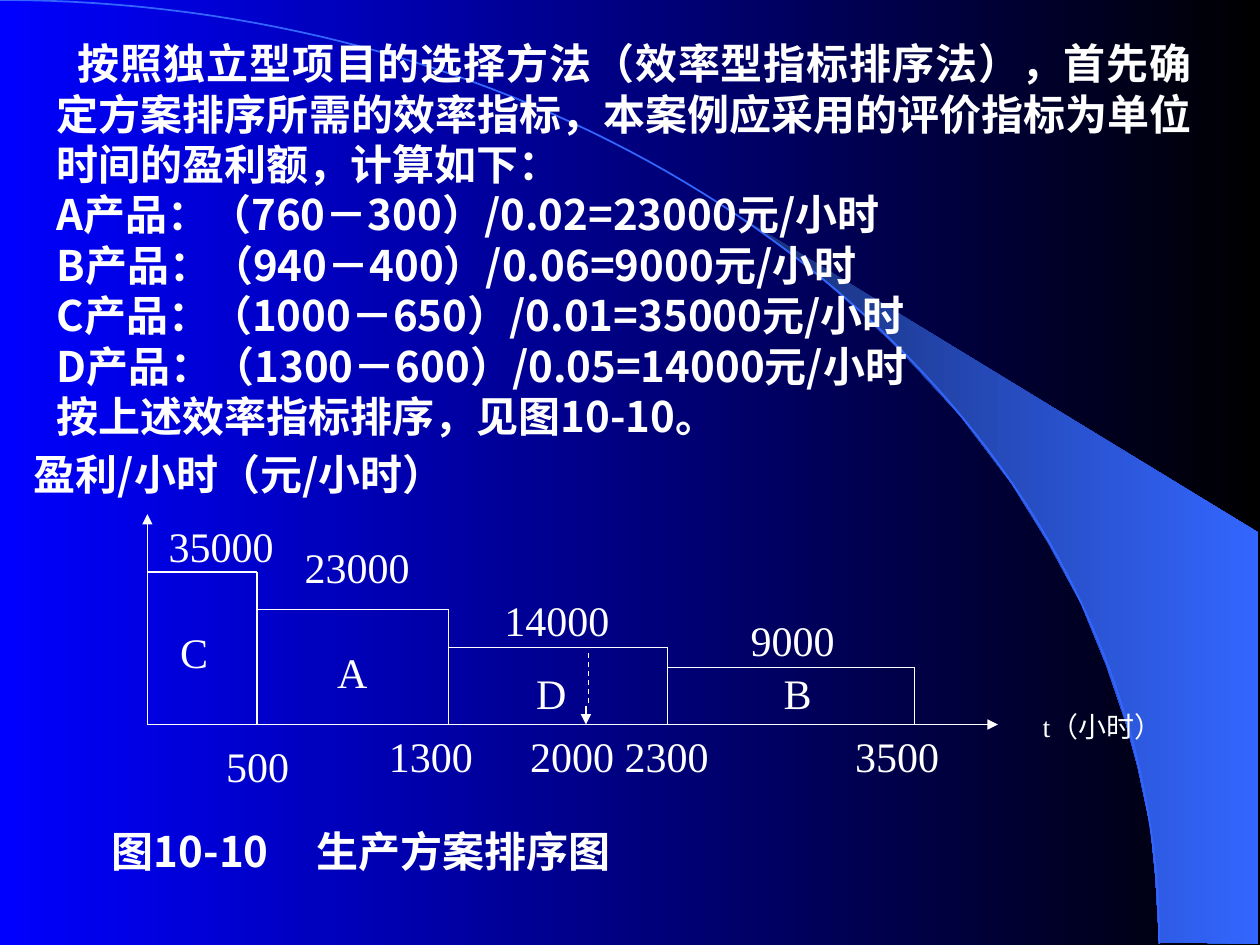
from lxml.etree import SubElement
from pptx import Presentation
from pptx.dml.color import RGBColor
from pptx.enum.dml import MSO_LINE
from pptx.enum.shapes import MSO_CONNECTOR
from pptx.enum.text import MSO_AUTO_SIZE, PP_ALIGN
from pptx.oxml.ns import qn
from pptx.util import Inches, Pt

CJK = "Noto Sans CJK SC"
SERIF = "Times New Roman"
WHITE = "FFFFFF"
AXIS_X, BASE_Y = 1.17, 5.75

BEAM = [
    (9.2, 7.48), (9.99, 7.49), (9.99, 4.23), (5.89, 1.73), (6.24, 1.99),
    (6.53, 2.22), (6.85, 2.5), (7.16, 2.8), (7.62, 3.3), (8.03, 3.84),
    (8.32, 4.31), (8.58, 4.79), (8.78, 5.28), (8.93, 5.72), (9.03, 6.09),
    (9.13, 6.56), (9.17, 6.96),
]
ARC = [(0, 0), (5.08, 0), (9.2, 3.35), (9.2, 7.49)]
BODY = [
    "按照独立型项目的选择方法（效率型指标排序法），首先确定方案排序所需的效率指标，本案例应采用的评价指标为单位时间的盈利额，计算如下：",
    "A产品：（760－300）/0.02=23000元/小时",
    "B产品：（940－400）/0.06=9000元/小时",
    "C产品：（1000－650）/0.01=35000元/小时",
    "D产品：（1300－600）/0.05=14000元/小时",
    "按上述效率指标排序，见图10-10。",
]
BARS = [(2.04, 4.54), (3.56, 4.84), (5.3, 5.14), (7.26, 5.3)]
LABELS = [
    ("500", 1.67, 5.83, 0.75), ("1300", 2.92, 5.75, 1),
    ("2000", 4, 5.75, 1.08), ("2300", 4.83, 5.75, 0.92),
    ("3500", 6.58, 5.75, 1.08), ("35000", 1.17, 4.08, 1.17),
    ("23000", 2.25, 4.25, 1.17), ("14000", 3.67, 4.67, 1.5),
    ("9000", 5.75, 4.83, 1.08), ("C", 1.25, 4.92, 0.58),
    ("A", 2.42, 5.08, 0.75), ("D", 4, 5.25, 0.75), ("B", 5.83, 5.25, 1),
]


def rgb(color):
    return RGBColor.from_string(color)


def set_gradient(fill, start, end):
    fill.gradient()
    fill.gradient_angle = 0
    for stop, color in zip(fill.gradient_stops, (start, end)):
        stop.color.rgb = rgb(color)


def add_outline(s, points, close):
    pts = [(Inches(x), Inches(y)) for x, y in points]
    builder = s.shapes.build_freeform(*pts[0])
    builder.add_line_segments(pts[1:], close=close)
    sp = builder.convert_to_shape()
    sp.shadow.inherit = False
    return sp


def bezier(points, steps):
    for i in range(steps + 1):
        t = i / steps
        weights = ((1 - t) ** 3, 3 * t * (1 - t) ** 2, 3 * t * t * (1 - t), t ** 3)
        yield tuple(sum(w * pt[axis] for w, pt in zip(weights, points)) for axis in (0, 1))


def add_line(s, x1, y1, x2, y2, arrow=False, dash=False):
    sp = s.shapes.add_connector(
        MSO_CONNECTOR.STRAIGHT, Inches(x1), Inches(y1), Inches(x2), Inches(y2))
    sp.line.color.rgb = rgb(WHITE)
    sp.line.width = Pt(0.75)
    if dash:
        sp.line.dash_style = MSO_LINE.DASH
    if arrow:
        SubElement(sp.line._get_or_add_ln(), qn("a:tailEnd"), type="triangle")
    SubElement(sp._element.spPr, qn("a:effectLst"))


def add_text(s, paragraphs, x, y, w, h=0.5, size=24, font=SERIF, bold=False,
             align=PP_ALIGN.CENTER, wrap=True):
    tf = s.shapes.add_textbox(Inches(x), Inches(y), Inches(w), Inches(h)).text_frame
    tf.word_wrap = wrap
    tf.auto_size = MSO_AUTO_SIZE.SHAPE_TO_FIT_TEXT
    for i, text in enumerate(paragraphs):
        p = tf.add_paragraph() if i else tf.paragraphs[0]
        p.alignment = align
        r = p.add_run()
        r.text = text
        r.font.size = Pt(size)
        r.font.bold = bold
        r.font.name = font
        r.font.color.rgb = rgb(WHITE)
        SubElement(r.font._element, qn("a:ea"), typeface=CJK)
    return tf


def add_backdrop(s):
    set_gradient(s.background.fill, "0000FF", "000000")
    beam = add_outline(s, BEAM, True)
    set_gradient(beam.fill, "182F76", "3366FF")
    beam.line.fill.background()
    arc = add_outline(s, bezier(ARC, 80), False)
    arc.fill.background()
    arc.line.color.rgb = rgb("3366FF")
    arc.line.width = Pt(1)


def add_body(s):
    tf = add_text(s, BODY, 0.35, 0.25, 9.21, 3.3, font=CJK, bold=True,
                  align=PP_ALIGN.JUSTIFY)
    tf.paragraphs[0]._p.get_or_add_pPr().set("indent", str(Inches(0.17)))


def add_diagram(s):
    add_text(s, ["盈利/小时（元/小时）"], 0.17, 3.51, 3.85, font=CJK, bold=True,
             align=PP_ALIGN.LEFT, wrap=False)
    add_line(s, AXIS_X, BASE_Y, 7.92, BASE_Y, arrow=True)
    add_line(s, AXIS_X, BASE_Y, AXIS_X, 4.08, arrow=True)
    left = AXIS_X
    for right, top in BARS:
        add_line(s, left, top, right, top)
        add_line(s, right, top, right, BASE_Y)
        left = right
    add_line(s, 4.67, 5.58, 4.67, 5.17, dash=True)
    add_line(s, 4.65, 5.6, 4.65, BASE_Y, arrow=True)
    for text, x, y, w in LABELS:
        add_text(s, [text], x, y, w)
    add_text(s, ["t（小时）"], 8, 5.58, 1.5, 0.37, size=16)


def add_caption(s):
    tf = add_text(s, ["图10-10\t生产方案排序图"], 0.79, 6.5, 9.21, font=CJK, bold=True,
                  align=PP_ALIGN.LEFT)
    tabs = SubElement(tf.paragraphs[0]._p.get_or_add_pPr(), qn("a:tabLst"))
    SubElement(tabs, qn("a:tab"), pos=str(Inches(1.62)), algn="l")


def main():
    prs = Presentation()
    prs.slide_width, prs.slide_height = Inches(10), Inches(7.5)
    s = prs.slides.add_slide(prs.slide_layouts[6])
    add_backdrop(s)
    add_body(s)
    add_diagram(s)
    add_caption(s)
    prs.save("out.pptx")


if __name__ == "__main__":
    main()
